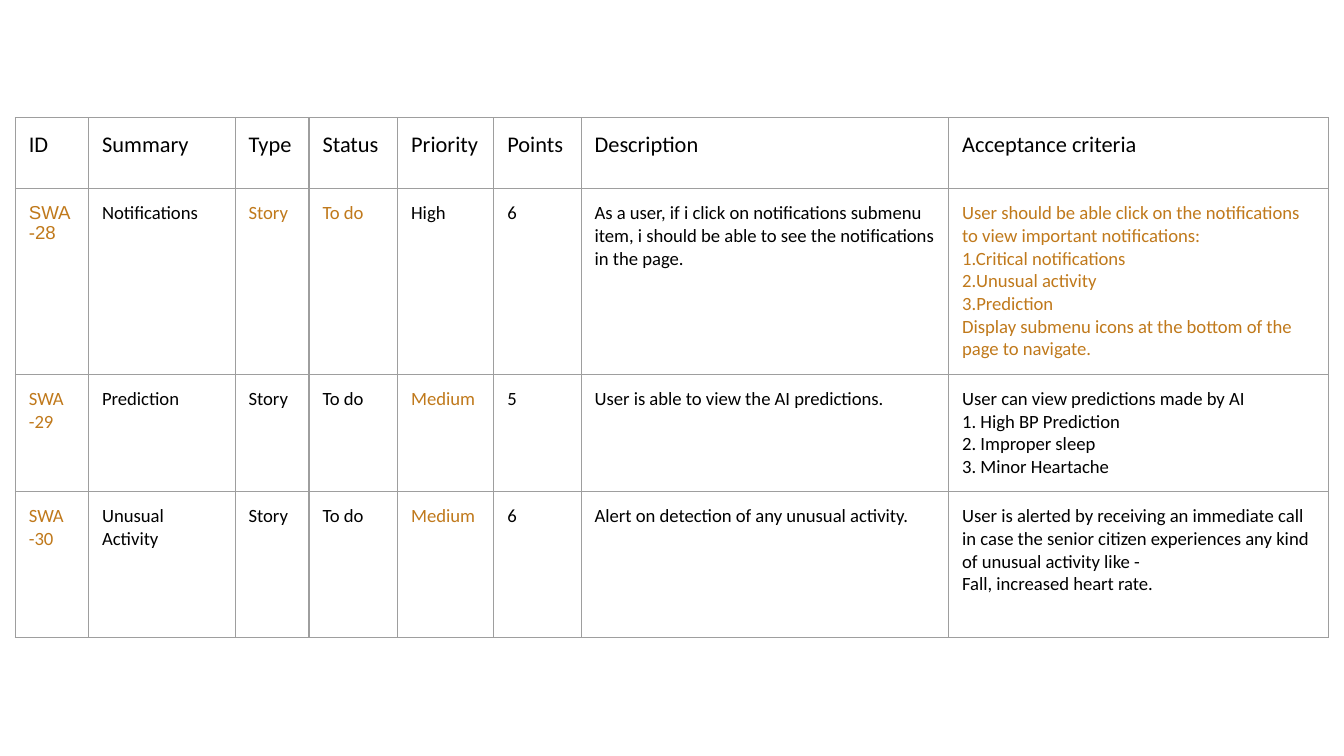
from dataclasses import dataclass

from lxml import etree
from pptx import Presentation
from pptx import util as u
from pptx.dml.color import RGBColor
from pptx.oxml import ns

PX = 4572  # EMU per px, 200 px to the inch


@dataclass(frozen=True)
class Theme:
    ink: str = "000000"
    accent: str = "C0791B"
    border: str = "9E9E9E"
    font: str = "Calibri"
    id_font: str = "Arial"
    header_size: int = 12
    body_size: int = 10
    border_width: float = 0.75
    inset: int = 20


@dataclass(frozen=True)
class Entry:
    """Cell text: one string per paragraph, with line feeds as line breaks."""
    paras: tuple[str, ...]
    color: str
    font: str
    size: int


THEME = Theme()
PAGE_WIDTH, PAGE_HEIGHT = 2000, 1125
LEFT, TOP = 23, 175
COLUMN_WIDTHS = (109, 218, 110, 132, 143, 130, 547, 565)
ROW_HEIGHTS = (106, 152, 152, 217)


def plain(*paras: str, color: str = THEME.ink, font: str = THEME.font) -> Entry:
    return Entry(paras, color, font, THEME.body_size)


def accent(*paras: str, font: str = THEME.font) -> Entry:
    return plain(*paras, color=THEME.accent, font=font)


def header(label: str) -> Entry:
    return Entry((label,), THEME.ink, THEME.font, THEME.header_size)


BACKLOG = (
    tuple(map(header, ("ID", "Summary", "Type", "Status", "Priority", "Points",
                       "Description", "Acceptance criteria"))),
    (
        accent("SWA -28", font=THEME.id_font), plain("Notifications"),
        accent("Story"), accent("To do"), plain("High"), plain("6"),
        plain("As a user, if i click on notifications submenu item, "
              "i should be able to see the notifications in the page."),
        accent("User should be able click on the notifications "
               "to view important notifications:",
               "1.Critical notifications", "2.Unusual activity", "3.Prediction",
               "Display submenu icons at the bottom of the page to navigate."),
    ),
    (
        accent("SWA -29"), plain("Prediction"),
        plain("Story"), plain("To do"), accent("Medium"), plain("5"),
        plain("User is able to view the AI predictions."),
        plain("User can view predictions made by AI", "1. High BP Prediction",
              "2. Improper sleep", "3. Minor Heartache"),
    ),
    (
        accent("SWA -30"), plain("Unusual Activity"),
        plain("Story"), plain("To do"), accent("Medium"), plain("6"),
        plain("Alert on detection of any unusual activity."),
        plain("User is alerted by receiving an immediate call in case the senior "
              "citizen experiences any kind of unusual activity like -\n"
              "Fall, increased heart rate."),
    ),
)


def draw_borders(cell) -> None:
    properties = cell._tc.get_or_add_tcPr()
    for position, side in enumerate(("a:lnL", "a:lnR", "a:lnT", "a:lnB")):
        line = etree.Element(ns.qn(side), w=str(u.Pt(THEME.border_width)))
        fill = etree.SubElement(line, ns.qn("a:solidFill"))
        etree.SubElement(fill, ns.qn("a:srgbClr"), val=THEME.border)
        properties.insert(position, line)


def write_entry(cell, entry: Entry) -> None:
    box = cell.text_frame
    for index, content in enumerate(entry.paras):
        para = box.add_paragraph() if index else box.paragraphs[0]
        for number, line in enumerate(content.split("\n")):
            if number:
                para.add_line_break()
            span = para.add_run()
            span.text = line
            span.font.name = entry.font
            span.font.size = u.Pt(entry.size)
            span.font.color.rgb = RGBColor.from_string(entry.color)


def draw_cell(cell, entry: Entry) -> None:
    inset = THEME.inset * PX
    cell.margin_left = cell.margin_right = inset
    cell.margin_top = cell.margin_bottom = inset
    cell.fill.background()
    draw_borders(cell)
    write_entry(cell, entry)


def draw_backlog(page) -> None:
    table = page.shapes.add_table(
        len(ROW_HEIGHTS), len(COLUMN_WIDTHS), LEFT * PX, TOP * PX,
        sum(COLUMN_WIDTHS) * PX, sum(ROW_HEIGHTS) * PX).table
    table.first_row = table.horz_banding = False
    for column, width in zip(table.columns, COLUMN_WIDTHS):
        column.width = width * PX
    for row, height, entries in zip(table.rows, ROW_HEIGHTS, BACKLOG):
        row.height = height * PX
        for cell, entry in zip(row.cells, entries):
            draw_cell(cell, entry)


def main() -> None:
    deck = Presentation()
    deck.slide_width, deck.slide_height = PAGE_WIDTH * PX, PAGE_HEIGHT * PX
    page = deck.slides.add_slide(deck.slide_layouts[6])
    draw_backlog(page)
    deck.save("out.pptx")


if __name__ == "__main__":
    main()
